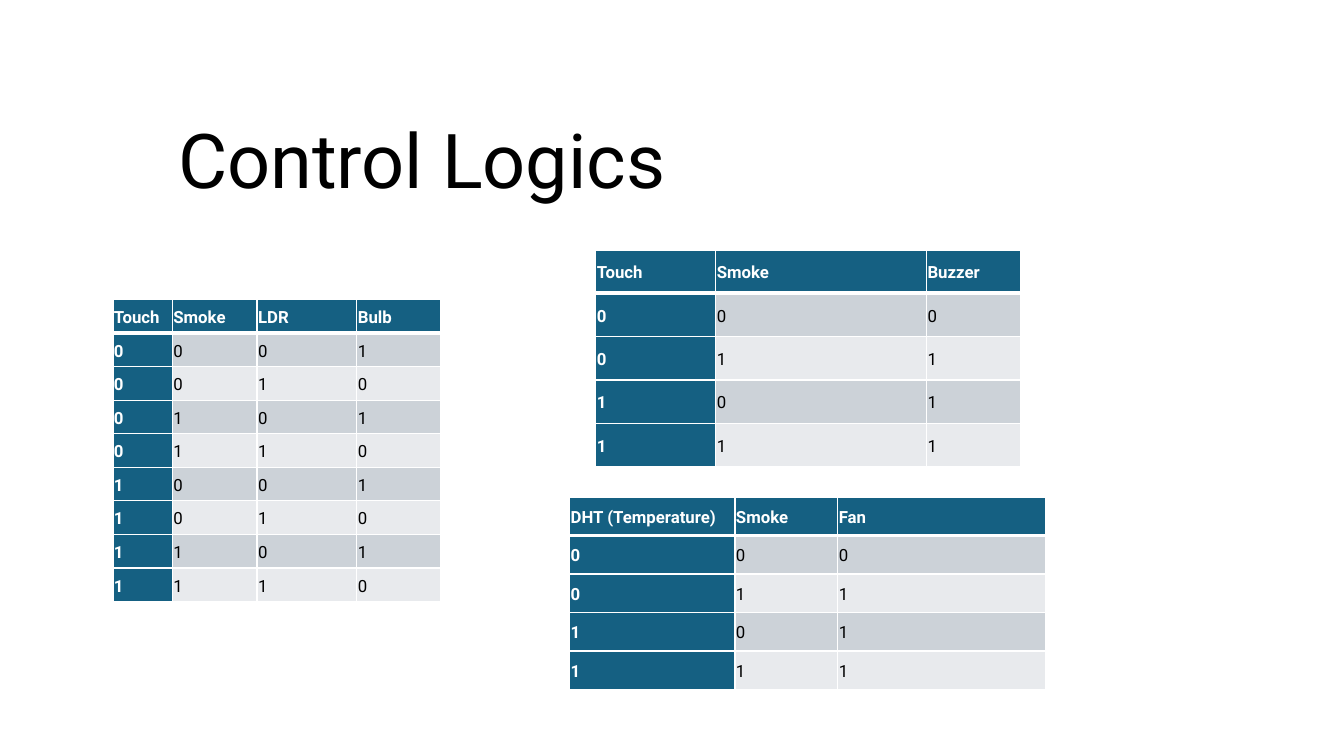
from lxml import etree
from pptx import Presentation
from pptx.dml.color import RGBColor
from pptx.enum.text import MSO_ANCHOR, PP_ALIGN
from pptx.oxml.ns import qn
from pptx.util import Inches, Pt

MIDDLE, BOTTOM = MSO_ANCHOR.MIDDLE, MSO_ANCHOR.BOTTOM
LEFT, JUSTIFY = PP_ALIGN.LEFT, PP_ALIGN.JUSTIFY
TEAL = RGBColor(0x15, 0x60, 0x82)
DARK_BAND = RGBColor(0xCC, 0xD2, 0xD8)
LIGHT_BAND = RGBColor(0xE8, 0xEA, 0xED)
WHITE = RGBColor(0xFF, 0xFF, 0xFF)
BLACK = RGBColor(0, 0, 0)
FONT = "Roboto"


def add_border(cell, side, width):
    ln = etree.SubElement(cell._tc.get_or_add_tcPr(), qn(f"a:ln{side}"), w=str(Pt(width)))
    fill = etree.SubElement(ln, qn("a:solidFill"))
    etree.SubElement(fill, qn("a:srgbClr"), val=str(WHITE))


def style_text(p, align, spacing, size, color, bold):
    p.alignment = align
    p.line_spacing = spacing
    for r in p.runs:
        r.font.name = FONT
        r.font.size = Pt(size)
        r.font.bold = bold
        r.font.color.rgb = color


prs = Presentation()
prs.slide_width, prs.slide_height = Inches(13.33), Inches(7.5)
s = prs.slides.add_slide(prs.slide_layouts[6])

title = s.shapes.add_textbox(Inches(1.67), Inches(1.23), Inches(10), Inches(0.85))
tf = title.text_frame
tf.word_wrap = True
tf.vertical_anchor = BOTTOM
tf.text = "Control Logics"
style_text(tf.paragraphs[0], LEFT, 0.9, 54, BLACK, False)

truth_tables = [
    (1.12, 2.97, 3, [0.59, 0.84, 0.99, 0.83], ["Touch", "Smoke", "LDR", "Bulb"],
     ["0001", "0010", "0101", "0110", "1001", "1010", "1101", "1110"]),
    (5.91, 2.48, 2.15, [1.19, 2.09, 0.93], ["Touch", "Smoke", "Buzzer"],
     ["000", "011", "101", "111"]),
    (5.65, 4.93, 1.91, [1.64, 1.02, 2.06], ["DHT (Temperature)", "Smoke", "Fan"],
     ["000", "011", "101", "111"]),
]

for left, top, height, widths, header, states in truth_tables:
    rows = [header, *states]
    table = s.shapes.add_table(len(rows), len(widths), Inches(left), Inches(top),
                               Inches(sum(widths)), Inches(height)).table
    for column, width in zip(table.columns, widths):
        column.width = Inches(width)
    for i, values in enumerate(rows):
        table.rows[i].height = Inches(height / len(rows))
        for j, value in enumerate(values):
            cell = table.cell(i, j)
            heading = i == 0 or j == 0
            add_border(cell, "L", 1)
            add_border(cell, "R", 1)
            add_border(cell, "T", 3 if i == 1 else 1)
            add_border(cell, "B", 3 if i == 0 else 1)
            cell.fill.solid()
            cell.fill.fore_color.rgb = TEAL if heading else DARK_BAND if i % 2 else LIGHT_BAND
            cell.vertical_anchor = MIDDLE
            cell.margin_left = cell.margin_right = Inches(0.01)
            cell.margin_top = cell.margin_bottom = Inches(0.01)
            cell.text_frame.text = value
            p = cell.text_frame.paragraphs[0]
            p.space_after = Pt(8)
            style_text(p, JUSTIFY, 1.15, 12, WHITE if heading else BLACK, heading)

prs.save("out.pptx")
